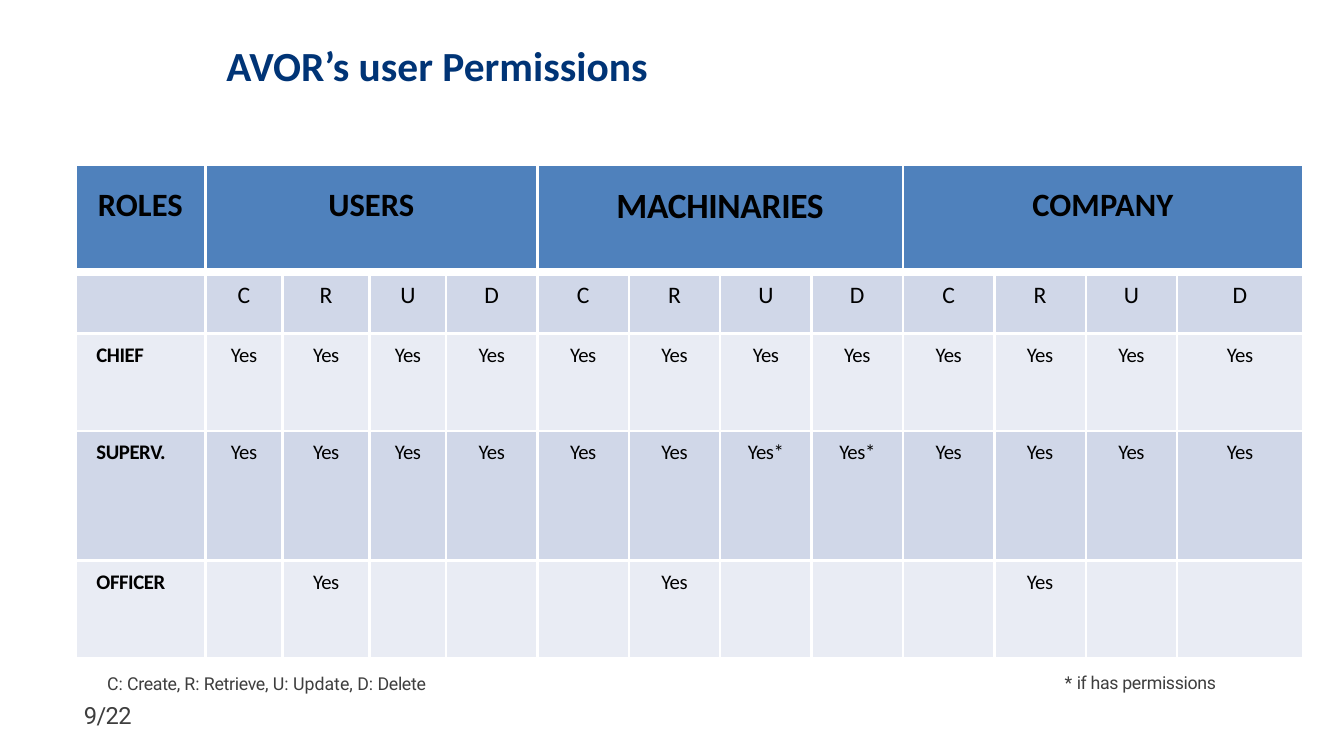
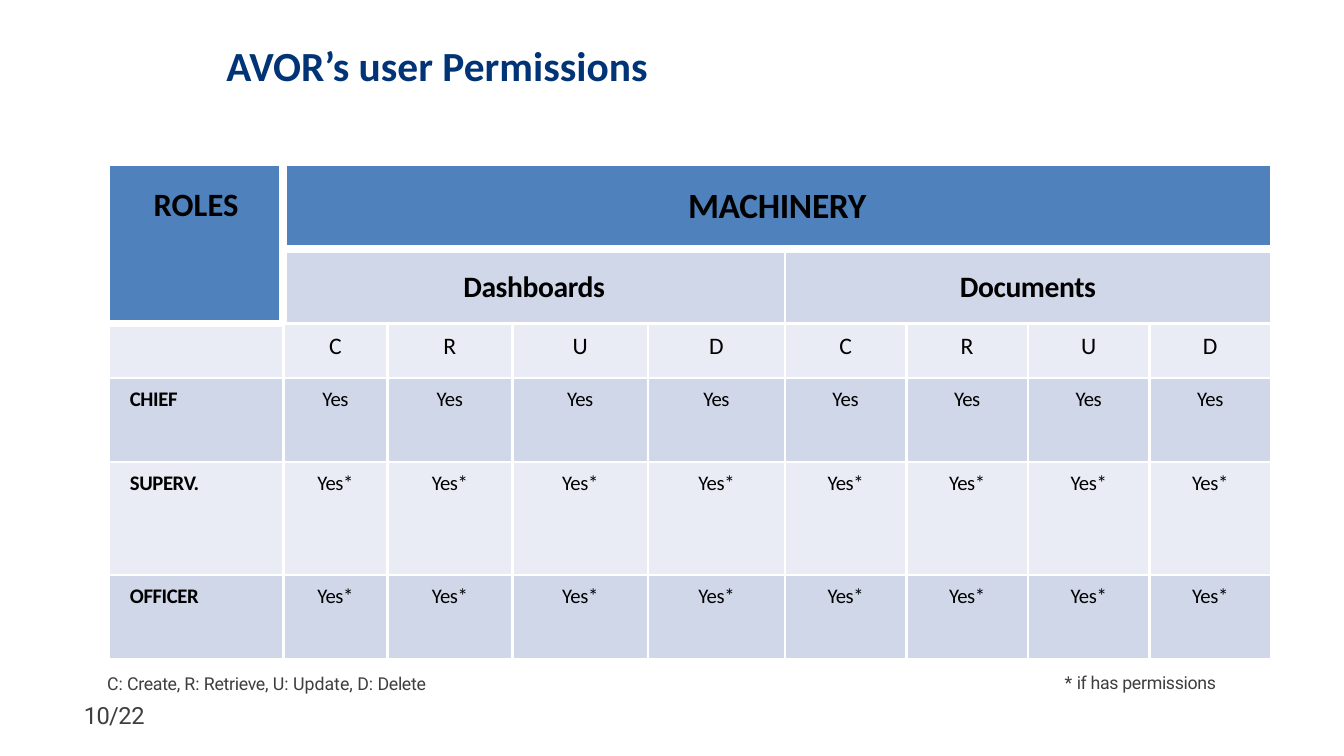
from dataclasses import dataclass

from lxml.etree import SubElement
from pptx import Presentation
from pptx.dml.color import RGBColor
from pptx.enum.text import MSO_AUTO_SIZE, PP_ALIGN
from pptx.oxml.ns import qn
from pptx.util import Cm, Pt


@dataclass(frozen=True)
class Theme:
    title_color: str = "003476"
    note_color: str = "3E3E3E"
    table_text: str = "000000"
    header_fill: str = "4F81BC"
    band_fills: tuple = ("D0D7E8", "E9ECF4")
    border: str = "FFFFFF"
    thin: float = 1
    thick: float = 3
    body_font: str = "Calibri"
    note_font: str = "Roboto"
    title_size: int = 14
    wide_heading_size: int = 12
    heading_size: int = 11
    subheading_size: int = 10
    letter_size: int = 8
    cell_size: int = 7
    note_size: int = 6
    page_size: int = 8


theme = Theme()
TIGHT = -0.1
HEADING_MARGIN, LETTER_MARGIN, CELL_MARGIN = 0.25, 0.1, 0.11


def add_run(paragraph, text, font, size, color, bold=False, spacing=0):
    run = paragraph.add_run()
    run.text = text
    run.font.name = font
    run.font.size = Pt(size)
    run.font.bold = bold
    run.font.color.rgb = RGBColor.from_string(color)
    if spacing:
        run._r.get_or_add_rPr().set("spc", str(round(spacing * 100)))


def add_text_box(slide, left, top, width, height, lines):
    """Each line is (indent in cm, space before in points, runs for add_run)."""
    box = slide.shapes.add_textbox(Cm(left), Cm(top), Cm(width), Cm(height))
    frame = box.text_frame
    frame.word_wrap = True
    frame.auto_size = MSO_AUTO_SIZE.SHAPE_TO_FIT_TEXT
    frame.margin_left = frame.margin_right = frame.margin_bottom = 0
    frame.margin_top = Cm(0.03)
    for index, (indent, space_before, runs) in enumerate(lines):
        paragraph = frame.add_paragraph() if index else frame.paragraphs[0]
        paragraph.space_before = Pt(space_before)
        paragraph._p.get_or_add_pPr().set("marL", str(Cm(indent)))
        for run in runs:
            add_run(paragraph, *run)


# Headings are (row, column, row span, column span, text, size).
permission_tables = [
    {
        "page": "9/22",
        "left": 0.9,
        "columns": [1.55, 0.92, 1.04, 0.91] + [1.09] * 8 + [1.5],
        "rows": [1.29, 0.73, 1.16, 1.55, 1.16],
        "headings": [
            (0, 0, 1, 1, "ROLES", theme.heading_size),
            (0, 1, 1, 4, "USERS", theme.heading_size),
            (0, 5, 1, 4, "MACHINARIES", theme.wide_heading_size),
            (0, 9, 1, 4, "COMPANY", theme.heading_size),
        ],
        "roles_depth": 1,
        "roles_edge": theme.thin,
        "permissions": {
            "CHIEF": ["Yes"] * 12,
            "SUPERV.": ["Yes"] * 6 + ["Yes*"] * 2 + ["Yes"] * 4,
            "OFFICER": ["", "Yes", "", ""] * 3,
        },
    },
    {
        "page": "10/22",
        "left": 1.3,
        "columns": [2.08, 1.24, 1.49, 1.62, 1.63] + [1.45] * 4,
        "rows": [1.01, 0.89, 0.65, 1, 1.35, 1],
        "headings": [
            (0, 0, 2, 1, "ROLES", theme.heading_size),
            (0, 1, 1, 8, "MACHINERY", theme.wide_heading_size),
            (1, 1, 1, 4, "Dashboards", theme.subheading_size),
            (1, 5, 1, 4, "Documents", theme.subheading_size),
        ],
        "roles_depth": 2,
        "roles_edge": theme.thick,
        "permissions": {
            "CHIEF": ["Yes"] * 8,
            "SUPERV.": ["Yes*"] * 8,
            "OFFICER": ["Yes*"] * 8,
        },
    },
]

presentation = Presentation()
presentation.slide_width = Cm(16.03)
presentation.slide_height = Cm(9.02)
note = (theme.note_font, theme.note_size, theme.note_color, False)
page = (theme.note_font, theme.page_size, theme.note_color, False)

for data in permission_tables:
    slide = presentation.slides.add_slide(presentation.slide_layouts[6])
    title = ("AVOR’s user Permissions", theme.body_font, theme.title_size, theme.title_color, True)
    add_text_box(slide, 2.67, 0.45, 5.08, 0.66, [(0.03, 1, [title])])
    add_text_box(slide, 12.67, 7.98, 1.91, 0.33, [
        (0.03, 1, [("* ", *note), ("if has permissions", *note, TIGHT)]),
    ])
    add_text_box(slide, 0.9, 8, 4.65, 0.81, [
        (0.38, 1, [
            ("C:", *note), (" Create, ", *note, TIGHT),
            ("R: ", *note), ("Retrieve,", *note, TIGHT),
            (" U: Update, D: ", *note), ("Delete", *note, TIGHT),
        ]),
        (0.1, 2.1, [(data["page"], *page, 2 * TIGHT)]),
    ])

    columns, rows = data["columns"], data["rows"]
    table = slide.shapes.add_table(
        len(rows), len(columns), Cm(data["left"]), Cm(1.96),
        Cm(sum(columns)), Cm(sum(rows))).table
    table.first_row = table.horz_banding = False
    for column, width in zip(table.columns, columns):
        column.width = Cm(width)
    for row, height in zip(table.rows, rows):
        row.height = Cm(height)

    # Cell contents: text, size, bold, letter spacing, top margin.
    contents = {}
    for row, column, row_span, column_span, text, size in data["headings"]:
        if row_span * column_span > 1:
            last_cell = table.cell(row + row_span - 1, column + column_span - 1)
            table.cell(row, column).merge(last_cell)
        spacing = 0 if size == theme.heading_size else TIGHT
        contents[row, column] = (text, size, True, spacing, HEADING_MARGIN)
    letter_row = len(rows) - len(data["permissions"]) - 1
    for column in range(1, len(columns)):
        letter = "CRUD"[(column - 1) % 4]
        contents[letter_row, column] = (letter, theme.letter_size, False, 0, LETTER_MARGIN)
    for row, (role, answers) in enumerate(data["permissions"].items(), letter_row + 1):
        for column, text in enumerate([role, *answers]):
            contents[row, column] = (text, theme.cell_size, column == 0, TIGHT, CELL_MARGIN)

    for row in range(len(rows)):
        for column in range(len(columns)):
            cell = table.cell(row, column)
            depth = data["roles_depth"] if column == 0 else 1
            beside_roles = row < data["roles_depth"]
            edges = {
                "lnL": data["roles_edge"] if column == 1 and beside_roles else theme.thin,
                "lnR": data["roles_edge"] if column == 0 and beside_roles else theme.thin,
                "lnT": theme.thick if row == depth else theme.thin,
                "lnB": theme.thick if row < depth else theme.thin,
            }
            properties = cell._tc.get_or_add_tcPr()
            for edge, width in edges.items():
                line = SubElement(properties, qn(f"a:{edge}"), w=str(Pt(width)))
                line_fill = SubElement(line, qn("a:solidFill"))
                SubElement(line_fill, qn("a:srgbClr"), val=theme.border)
            fill = theme.header_fill if row < depth else theme.band_fills[(row - 1) % 2]
            cell.fill.solid()
            cell.fill.fore_color.rgb = RGBColor.from_string(fill)

            text, size, bold, spacing, margin = contents.get(
                (row, column), ("", theme.cell_size, False, 0, 0))
            is_role = column == 0 and row > letter_row
            cell.margin_left = Cm(0.25 if is_role else 0)
            cell.margin_right = cell.margin_bottom = 0
            cell.margin_top = Cm(margin)
            paragraph = cell.text_frame.paragraphs[0]
            paragraph.alignment = PP_ALIGN.LEFT if is_role else PP_ALIGN.CENTER
            if text:
                add_run(paragraph, text, theme.body_font, size, theme.table_text, bold, spacing)
            else:
                SubElement(paragraph._p, qn("a:endParaRPr"), sz=str(size * 100))

presentation.save("out.pptx")
